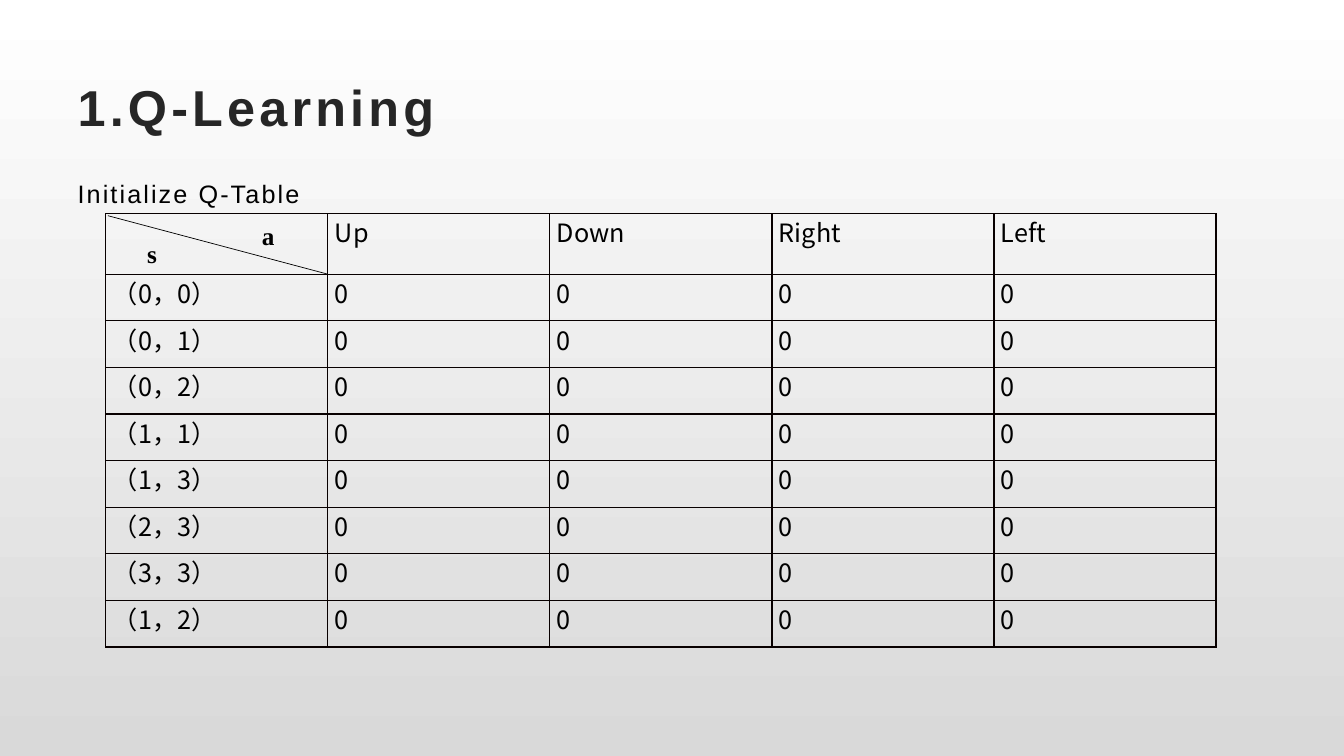
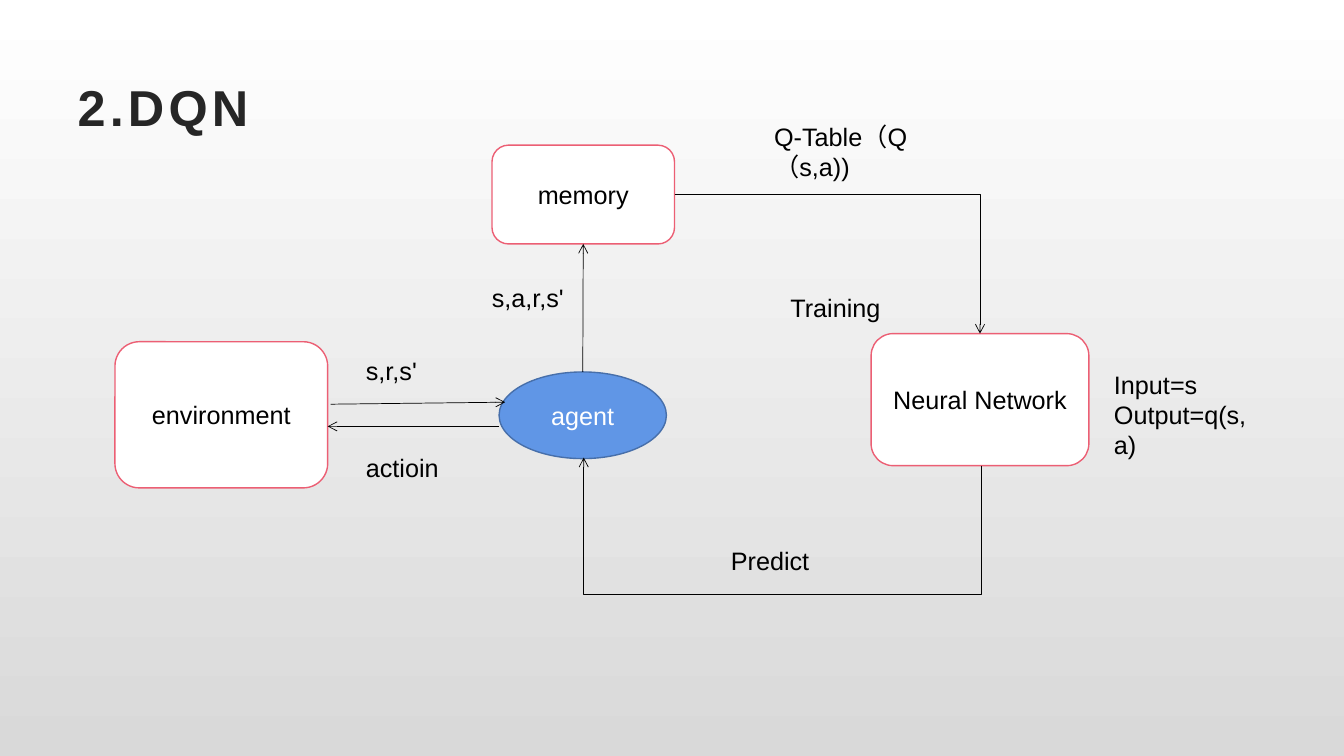
from lxml import etree
from pptx import Presentation
from pptx import util as u
from pptx.dml.color import RGBColor
from pptx.enum import shapes, text
from pptx.oxml.ns import qn

INK, TITLE_INK, WHITE, GREY = "000000", "262626", "FFFFFF", "D9D9D9"
PINK, BLUE, DARK_BLUE, GRID = "EC5F74", "6096E6", "476FAA", "080000"
SANS, CJK, SERIF = "Arial", "Noto Sans CJK SC", "Times New Roman"
LEFT, CENTER = text.PP_ALIGN.LEFT, text.PP_ALIGN.CENTER
TOP, MIDDLE = text.MSO_ANCHOR.TOP, text.MSO_ANCHOR.MIDDLE


def color(hex_value):
    return RGBColor.from_string(hex_value)


def apply(target, values):
    for name, value in values.items():
        setattr(target, name, value)


def child(parent, tag, **attributes):
    return etree.SubElement(parent, qn(tag), **attributes)


class Deck:
    """Holds the shared style and the slide being filled."""

    def __init__(self):
        self.prs = Presentation()
        apply(self.prs, {"slide_width": u.Inches(13.33), "slide_height": u.Inches(7.5)})
        # Background gradient, shared through the master
        fill = self.prs.slide_master.background.fill
        fill.gradient()
        fill.gradient_angle = 270
        for stop, shade in zip(fill.gradient_stops, (WHITE, GREY)):
            stop.color.rgb = color(shade)
        self.slide = None

    def new_slide(self, layout, title):
        self.slide = self.prs.slides.add_slide(self.prs.slide_layouts[layout])
        self.placeholder(self.slide.shapes.title, (0.67, 0.67, 12, 0.77), title, MIDDLE,
                         size=36, ink=TITLE_INK, bold=True, spacing=3)

    def set_text(self, frame, content, size=18, ink=INK, font=SANS, bold=False,
                 align=LEFT, spacing=0):
        frame.text = content
        for paragraph in frame.paragraphs:
            paragraph.alignment = align
            for run in paragraph.runs:
                apply(run.font, {"size": u.Pt(size), "name": font, "bold": bold})
                run.font.color.rgb = color(ink)
                properties = run._r.get_or_add_rPr()
                child(properties, "a:ea", typeface=CJK)
                if spacing:
                    properties.set("spc", str(int(spacing * 100)))

    def placeholder(self, holder, box, content, anchor, **style):
        left, top, width, height = map(u.Inches, box)
        apply(holder, {"left": left, "top": top, "width": width, "height": height})
        apply(holder.text_frame, {"vertical_anchor": anchor, "word_wrap": True,
                                  "auto_size": text.MSO_AUTO_SIZE.NONE})
        self.set_text(holder.text_frame, content, **style)

    def body(self, box, content):
        holder = self.slide.placeholders[1]
        self.placeholder(holder, box, content, TOP, spacing=1.5)
        for paragraph in holder.text_frame.paragraphs:
            apply(paragraph, {"line_spacing": 1.3, "space_before": u.Pt(0),
                              "space_after": u.Pt(10)})
            properties = paragraph._p.get_or_add_pPr()
            properties.set("marL", "0")
            properties.set("indent", "0")
            child(properties, "a:buNone")

    def label(self, box, content, **style):
        frame = self.slide.shapes.add_textbox(*map(u.Inches, box)).text_frame
        apply(frame, {"word_wrap": True, "auto_size": text.MSO_AUTO_SIZE.SHAPE_TO_FIT_TEXT})
        self.set_text(frame, content, **style)

    def node(self, kind, box, content, fill=WHITE, outline=PINK, ink=INK):
        node = self.slide.shapes.add_shape(kind, *map(u.Inches, box))
        node.shadow.inherit = False
        node.fill.solid()
        node.fill.fore_color.rgb = color(fill)
        node.line.color.rgb = color(outline)
        node.line.width = u.Pt(1)
        apply(node.text_frame, {"word_wrap": True, "vertical_anchor": MIDDLE})
        self.set_text(node.text_frame, content, ink=ink, align=CENTER)
        return node

    def line(self, start, end, kind=shapes.MSO_CONNECTOR.STRAIGHT, arrow=True):
        line = self.slide.shapes.add_connector(kind, *map(u.Inches, start + end))
        line.line.color.rgb = color(INK)
        line.line.width = u.Pt(0.5)
        if arrow:
            child(line.line._get_or_add_ln(), "a:tailEnd", type="arrow")
        child(line._element.spPr, "a:effectLst")
        return line

    def elbow(self, start, end, preset, turn=0, adjust=None):
        line = self.line(start, end, shapes.MSO_CONNECTOR.ELBOW)
        properties = line._element.spPr
        geometry = properties.find(qn("a:prstGeom"))
        geometry.set("prst", preset)
        if turn:
            properties.find(qn("a:xfrm")).set("rot", str(turn * 60000))
        if adjust is not None:
            guides = geometry.find(qn("a:avLst"))
            if guides is None:
                guides = child(geometry, "a:avLst")
            child(guides, "a:gd", name="adj1", fmla=f"val {round(adjust * 100000)}")
        return line

    def table(self, box, rows, header_height):
        height = box[3]
        table = self.slide.shapes.add_table(len(rows), len(rows[0]),
                                            *map(u.Inches, box)).table
        apply(table, {"first_row": False, "horz_banding": False})
        row_height = (height - header_height) / (len(rows) - 1)
        for index, row in enumerate(table.rows):
            row.height = u.Inches(row_height if index else header_height)
        for row, values in enumerate(rows):
            for column, value in enumerate(values):
                self.cell(table.cell(row, column), value)

    def cell(self, cell, value):
        apply(cell, {"margin_left": u.Inches(0.07), "margin_right": u.Inches(0.07),
                     "margin_top": 0, "margin_bottom": 0, "vertical_anchor": TOP})
        properties = cell._tc.get_or_add_tcPr()
        for side in "LRTB":
            border = child(properties, f"a:ln{side}", w=str(u.Pt(1)))
            child(child(border, "a:solidFill"), "a:srgbClr", val=GRID)
        cell.fill.background()
        self.set_text(cell.text_frame, value, font=CJK)


def q_learning(deck):
    deck.new_slide(1, "1.Q-Learning")
    deck.body((0.67, 1.63, 12, 5.2), "Initialize Q-Table")

    # Q-table: one row per state, one column per action
    actions = ["Up", "Down", "Right", "Left"]
    states = ["0，0", "0，1", "0，2", "1，1", "1，3", "2，3", "3，3", "1，2"]
    rows = [[""] + actions] + [[f"（{state}）"] + ["0"] * len(actions) for state in states]
    deck.table((1.05, 2.12, 11.01, 4.3), rows, header_height=0.6)

    # Split corner cell
    deck.line((1.07, 2.14), (3.25, 2.72), arrow=False)
    for axis, left, top in (("s", 1.36, 2.32), ("a", 2.5, 2.14)):
        deck.label((left, top, 0.62, 0.4), axis, font=SERIF, bold=True)


def dqn(deck):
    deck.new_slide(5, "2.DQN")
    kinds = shapes.MSO_SHAPE

    # Components
    deck.node(kinds.OVAL, (4.95, 3.69, 1.66, 0.86), "agent", BLUE, DARK_BLUE, WHITE)
    deck.node(kinds.ROUNDED_RECTANGLE, (1.14, 3.39, 2.11, 1.45), "environment")
    memory = deck.node(kinds.FLOWCHART_ALTERNATE_PROCESS, (4.88, 1.44, 1.81, 0.98), "memory")
    network = deck.node(kinds.ROUNDED_RECTANGLE, (8.64, 3.31, 2.16, 1.31), "Neural Network")

    # Flows
    deck.line((4.95, 4.23), (3.25, 4.23))
    deck.line((3.28, 4.01), (5.01, 3.99))
    deck.line((5.78, 3.69), (5.79, 2.42)).end_connect(memory, 2)
    training = deck.elbow((6.69, 1.93), (9.72, 3.31), "bentConnector2")
    training.begin_connect(memory, 3)
    training.end_connect(network, 0)
    # The prediction path runs below both nodes, so its frame is turned
    deck.elbow((7.8, 2.61), (7.72, 6.55), "bentConnector3", turn=90, adjust=-16)

    # Flow labels
    for content, left, top, height in (
            ("Predict", 7.15, 5.36, 0.4),
            ("Q-Table（Q（s,a))", 7.58, 1.15, 0.71),
            ("Training", 7.74, 2.85, 0.4),
            ("s,r,s'", 3.53, 3.48, 0.4),
            ("actioin", 3.53, 4.44, 0.4),
            ("s,a,r,s'", 4.78, 2.75, 0.4),
            ("Input=s\nOutput=q(s,a)", 10.95, 3.61, 1.01)):
        deck.label((left, top, 1.62, height), content)


def main():
    deck = Deck()
    q_learning(deck)
    dqn(deck)
    deck.prs.save("out.pptx")


if __name__ == "__main__":
    main()
